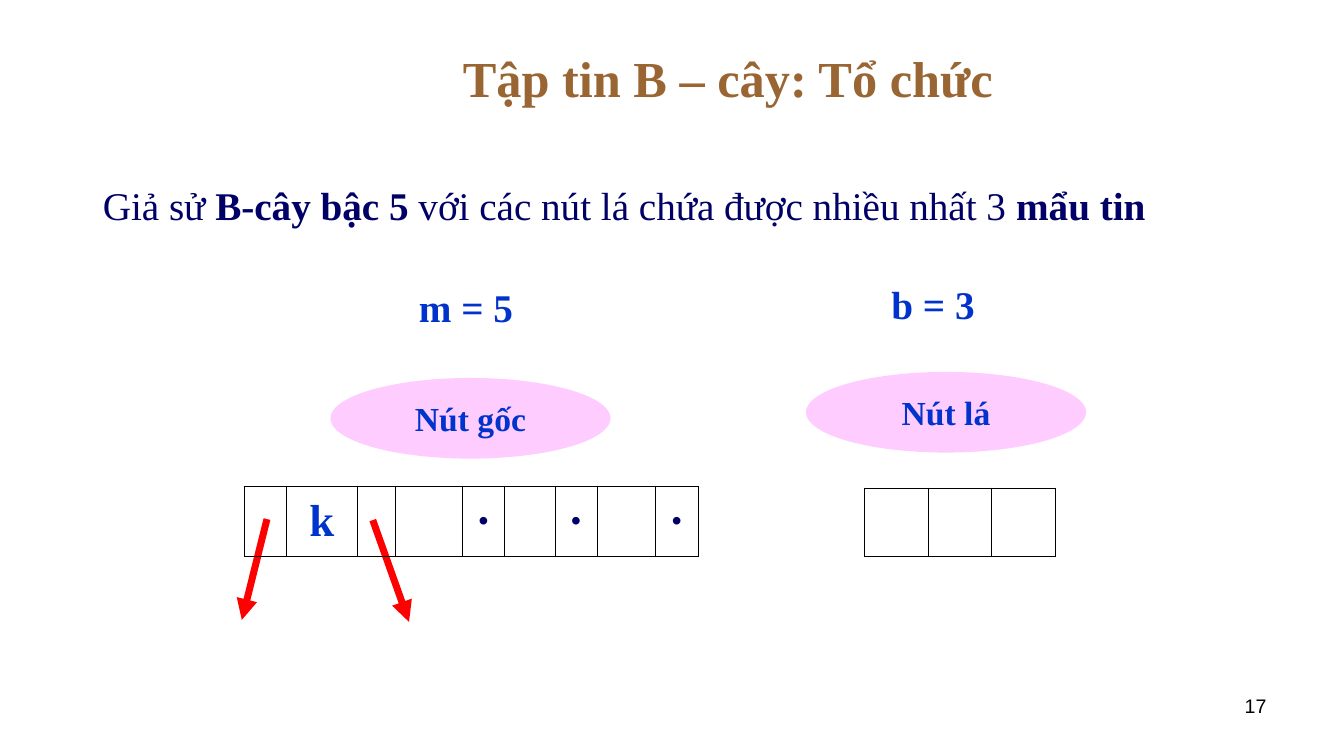
from dataclasses import dataclass
from lxml import etree
from pptx import Presentation
from pptx import util as u
from pptx.dml.color import RGBColor
from pptx.enum import shapes, text
from pptx.oxml import ns

ALIGN = text.PP_ALIGN
ANCHOR = text.MSO_ANCHOR


@dataclass(frozen=True)
class Theme:
    serif: str = "Times New Roman"
    sans: str = "Arial"
    brown: str = "996633"
    navy: str = "000066"
    blue: str = "0033CC"
    pink: str = "FFCCFF"
    red: str = "FF0000"
    black: str = "000000"
    title: int = 36
    key: int = 32
    body: int = 28
    node: int = 24
    dot: int = 20
    number: int = 14
    arrow: float = 5
    border: float = 0.45


def set_values(target, values):
    for name, value in values.items():
        setattr(target, name, value)


def place(shape, box):
    names = ("left", "top", "width", "height")
    set_values(shape, dict(zip(names, map(u.Inches, box))))


class SlideBuilder:
    """Draws styled elements on the current slide."""

    def __init__(self, presentation, theme):
        self.theme = theme
        self.slide = presentation.slides.add_slide(presentation.slide_layouts[1])

    def fill_frame(self, frame, runs, size, color, anchor=ANCHOR.TOP, **style):
        set_values(frame, {"word_wrap": True, "auto_size": text.MSO_AUTO_SIZE.NONE,
                           "vertical_anchor": anchor})
        self.fill_paragraph(frame.paragraphs[0], runs, size, color, **style)

    def fill_paragraph(self, paragraph, runs, size, color, font=None, bold=True,
                       align=ALIGN.LEFT):
        set_values(paragraph, {"alignment": align, "space_before": u.Pt(0)})
        for words, is_bold in [(runs, bold)] if isinstance(runs, str) else runs:
            run = paragraph.add_run()
            run.text = words
            set_values(run.font, {"name": font or self.theme.serif,
                                  "size": u.Pt(size), "bold": is_bold})
            run.font.color.rgb = RGBColor.from_string(color)

    def title(self, words, box):
        shape = self.slide.shapes.title
        place(shape, box)
        self.fill_frame(shape.text_frame, words, self.theme.title, self.theme.brown,
                        align=ALIGN.CENTER, anchor=ANCHOR.MIDDLE)

    def body(self, runs, box):
        shape = self.slide.placeholders[1]
        place(shape, box)
        paragraph = shape.text_frame.paragraphs[0]
        paragraph.line_spacing = 0.9
        properties = paragraph._p.get_or_add_pPr()
        properties.set("marL", "0")
        properties.set("indent", "0")
        etree.SubElement(properties, ns.qn("a:buNone"))
        self.fill_frame(shape.text_frame, runs, self.theme.body, self.theme.navy)

    def label(self, words, box, size, color, **style):
        shape = self.slide.shapes.add_textbox(*map(u.Inches, box))
        self.fill_frame(shape.text_frame, words, size, color, **style)

    def ellipse(self, words, box):
        shape = self.slide.shapes.add_shape(shapes.MSO_SHAPE.OVAL, *map(u.Inches, box))
        shape.shadow.inherit = False
        shape.fill.solid()
        shape.fill.fore_color.rgb = RGBColor.from_string(self.theme.pink)
        shape.line.fill.background()
        self.fill_frame(shape.text_frame, words, self.theme.node, self.theme.blue,
                        align=ALIGN.CENTER, anchor=ANCHOR.MIDDLE)

    def arrow(self, *ends):
        connector = self.slide.shapes.add_connector(
            shapes.MSO_CONNECTOR.STRAIGHT, *map(u.Inches, ends))
        connector.line.color.rgb = RGBColor.from_string(self.theme.red)
        connector.line.width = u.Pt(self.theme.arrow)
        outline = connector.line._get_or_add_ln()
        etree.SubElement(outline, ns.qn("a:tailEnd"), type="triangle")
        etree.SubElement(connector._element.spPr, ns.qn("a:effectLst"))

    def border(self, cell):
        properties = cell._tc.get_or_add_tcPr()
        for index, side in enumerate(("lnL", "lnR", "lnT", "lnB")):
            width = str(int(u.Pt(self.theme.border)))
            line = etree.Element(ns.qn(f"a:{side}"), w=width)
            fill = etree.SubElement(line, ns.qn("a:solidFill"))
            etree.SubElement(fill, ns.qn("a:srgbClr"), val=self.theme.black)
            properties.insert(index, line)

    def node_table(self, left, top, height, widths, entries):
        box = map(u.Inches, (left, top, sum(widths), height))
        table = self.slide.shapes.add_table(1, len(widths), *box).table
        set_values(table, {"first_row": False, "horz_banding": False})
        for index, width in enumerate(widths):
            table.columns[index].width = u.Inches(width)
            cell = table.cell(0, index)
            cell.fill.background()
            cell.vertical_anchor = ANCHOR.MIDDLE
            self.border(cell)
            if index in entries:
                self.fill_paragraph(cell.text_frame.paragraphs[0], *entries[index],
                                    align=ALIGN.CENTER)


def main():
    presentation = Presentation()
    set_values(presentation, {"slide_width": u.Inches(13.34),
                              "slide_height": u.Inches(7.5)})
    theme = Theme()
    builder = SlideBuilder(presentation, theme)

    builder.title("Tập tin B – cây: Tổ chức", (3.14, 0.25, 8.17, 1.03))
    builder.body([("Giả sử ", False), ("B-cây bậc 5 ", True),
                  ("với các nút lá chứa được nhiều nhất 3", False),
                  (" mẩu tin", True)], (0.92, 1.8, 11.75, 0.81))
    builder.label("17", (9.56, 6.83, 3.11, 0.52), theme.number, theme.black,
                  font=theme.sans, bold=False, align=ALIGN.RIGHT)

    for words, box in (("m = 5", (4.06, 2.76, 1.23, 0.7)),
                       ("b = 3", (8.75, 2.73, 1.27, 0.7))):
        builder.label(words, box, theme.body, theme.blue)
    for ends in ((2.65, 5.15, 2.4, 6.15), (3.7, 5.16, 4.06, 6.17)):
        builder.arrow(*ends)
    for words, left, top in (("Nút gốc", 3.28, 3.75), ("Nút lá", 8, 3.69)):
        builder.ellipse(words, (left, top, 2.78, 0.8))

    dot = ("•", theme.dot, theme.navy, theme.sans, False)
    root_entries = {1: ("k", theme.key, theme.blue), 4: dot, 6: dot, 8: dot}
    root_widths = (0.42, 0.71, 0.37, 0.67, 0.42, 0.5, 0.42, 0.58, 0.42)
    builder.node_table(8.58, 4.84, 0.68, [0.63] * 3, {})
    builder.node_table(2.42, 4.82, 0.7, root_widths, root_entries)

    presentation.save("out.pptx")


if __name__ == "__main__":
    main()
